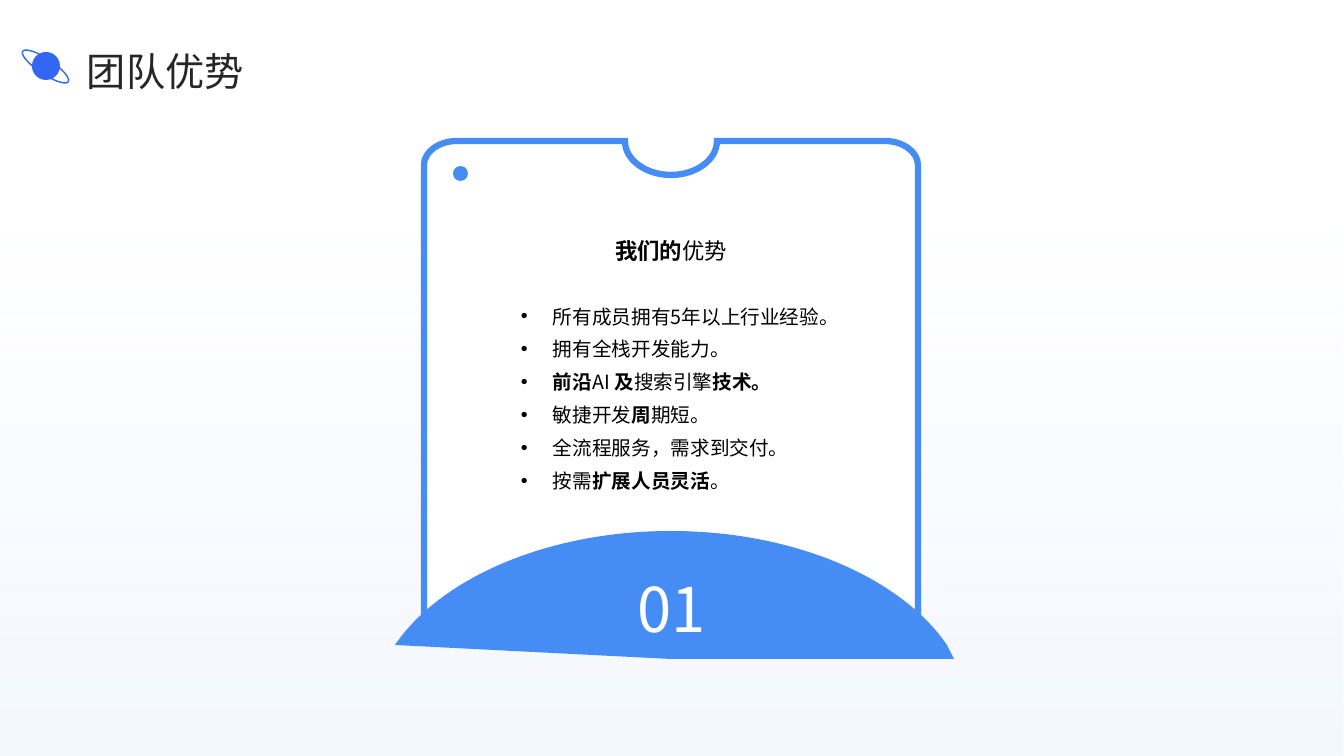
from lxml.etree import SubElement
from pptx import Presentation
from pptx.dml.color import RGBColor
from pptx.enum.shapes import MSO_SHAPE
from pptx.enum.text import MSO_ANCHOR, MSO_AUTO_SIZE, PP_ALIGN
from pptx.oxml.ns import qn
from pptx.util import Pt

# Content: paragraphs are lists of (text, bold) runs
TITLE = [[("团队优势", False)]]
HEADING = [[("我们的", True), ("优势", False)]]
NUMBER = [[("01", False)]]
ADVANTAGES = [
    [("所有成员拥有5年以上行业经验。", False)],
    [("拥有全栈开发能力。", False)],
    [("前沿", True), ("AI ", False), ("及", True), ("搜索引擎", False), ("技术。", True)],
    [("敏捷开发", False), ("周", True), ("期短。", False)],
    [("全流程服务，需求到交付。", False)],
    [("按需", False), ("扩展人员灵活", True), ("。", False)],
]

# Style
FONT = "Noto Sans CJK SC"
BLACK = RGBColor(0x00, 0x00, 0x00)
WHITE = RGBColor(0xFF, 0xFF, 0xFF)
DARK = RGBColor(0x26, 0x26, 0x26)
BLUE = RGBColor(0x45, 0x8C, 0xF5)
PLANET_BLUE = RGBColor(0x33, 0x66, 0xF3)
PALE_BLUE = RGBColor(0xDA, 0xE8, 0xFD)

# Geometry in px
PX = 914400 / 100.8
SLIDE_WIDTH, SLIDE_HEIGHT = 1344, 756
CENTER = 671

# Right halves of the outlines: a step is one line end or three curve points
CARD_HALF = [
    [(671, 175)],
    [(696, 175), (717, 160), (717, 141)],
    [(885, 141)],
    [(903, 141), (918, 152), (918, 165)],
    [(918, 616)],
    [(918, 629), (903, 640), (885, 640)],
    [(671, 640)],
]
DOME_HALF = [
    [(671, 531)],
    [(796, 531), (902, 579), (947, 645)],
    [(954, 659)],
    [(671, 659)],
]


def emu(*lengths):
    return [round(length * PX) for length in lengths]


def paint(shape, fill=None, line=None, line_width=1):
    shape.shadow.inherit = False
    if fill is None:
        shape.fill.background()
    else:
        shape.fill.solid()
        shape.fill.fore_color.rgb = fill
    if line is None:
        shape.line.fill.background()
    else:
        shape.line.color.rgb = line
        shape.line.width = Pt(line_width)


def mirror_steps(half):
    """Walk the half outline backwards on the left of the center."""
    steps = []
    for before, step in zip(half[-2::-1], half[:0:-1]):
        points = step[-2::-1] + before[-1:]
        steps.append([(2 * CENTER - x, y) for x, y in points])
    return steps


def add_symmetric(shapes, half, **style):
    start, *steps = half + mirror_steps(half)[1:]
    builder = shapes.build_freeform(*emu(*start[0]))
    builder.add_line_segments([emu(*step[-1]) for step in steps], close=True)
    shape = builder.convert_to_shape()
    # Turn the segments that have control points into curves
    segments = list(shape._element.iter(qn("a:lnTo")))
    for segment, step in zip(segments, steps):
        if len(step) == 3:
            segment.tag = qn("a:cubicBezTo")
            end = segment[0]
            for point in step[:2]:
                x, y = emu(*point)
                control = SubElement(segment, qn("a:pt"))
                control.set("x", str(x - shape.left))
                control.set("y", str(y - shape.top))
            segment.append(end)
    paint(shape, **style)
    return shape


def add_ellipse(shapes, box, rotation=0, **style):
    shape = shapes.add_shape(MSO_SHAPE.OVAL, *emu(*box))
    shape.rotation = rotation
    paint(shape, **style)


def write_text(shape, box, paragraphs, size, color, align=PP_ALIGN.LEFT,
               anchor=MSO_ANCHOR.MIDDLE, spacing=1.1, bullet_indent=0):
    shape.left, shape.top, shape.width, shape.height = emu(*box)
    frame = shape.text_frame
    frame.word_wrap = True
    frame.auto_size = MSO_AUTO_SIZE.NONE
    frame.vertical_anchor = anchor
    frame.margin_left = frame.margin_top = frame.margin_right = frame.margin_bottom = 0
    for index, runs in enumerate(paragraphs):
        paragraph = frame.add_paragraph() if index else frame.paragraphs[0]
        if bullet_indent:
            indent, = emu(bullet_indent)
            properties = paragraph._p.get_or_add_pPr()
            properties.set("marL", str(indent))
            properties.set("indent", str(-indent))
            SubElement(properties, qn("a:buFont")).set("typeface", "Arial")
            SubElement(properties, qn("a:buChar")).set("char", "•")
        paragraph.alignment = align
        paragraph.line_spacing = spacing
        paragraph.space_before = Pt(0)
        for text, bold in runs:
            run = paragraph.add_run()
            run.text = text
            run.font.size = Pt(size)
            run.font.bold = bold
            run.font.color.rgb = color
            run.font.name = FONT
            SubElement(run._r.get_or_add_rPr(), qn("a:ea")).set("typeface", FONT)


def add_background(shapes):
    shape = shapes.add_shape(MSO_SHAPE.RECTANGLE, *emu(0, 0, SLIDE_WIDTH, SLIDE_HEIGHT))
    paint(shape)
    shape.fill.gradient()
    shape.fill.gradient_angle = 270
    for stop, position, opacity in zip(shape.fill.gradient_stops, (0.3, 1), (0, 30)):
        stop.color.rgb = PALE_BLUE
        stop.position = position
        color = stop._gs.find(qn("a:srgbClr"))
        SubElement(color, qn("a:alpha")).set("val", str(opacity * 1000))


def main():
    presentation = Presentation()
    presentation.slide_width, presentation.slide_height = emu(SLIDE_WIDTH, SLIDE_HEIGHT)
    slide = presentation.slides.add_slide(presentation.slide_layouts[1])
    shapes = slide.shapes
    title, body = shapes.title, slide.placeholders[1]

    # Background and card, with sharp corners at the notch
    add_background(shapes)
    card = add_symmetric(shapes, CARD_HALF, fill=WHITE, line=BLUE, line_width=4.5)
    outline = card._element.spPr.find(qn("a:ln"))
    SubElement(outline, qn("a:miter")).set("lim", "800000")
    add_symmetric(shapes, DOME_HALF, fill=BLUE)

    # Card text, with the placeholders brought to the front
    shapes._spTree.append(body._element)
    write_text(body, (521, 295, 321, 225), ADVANTAGES, 14, BLACK,
               anchor=MSO_ANCHOR.TOP, spacing=1.4, bullet_indent=32)
    write_text(shapes.add_textbox(0, 0, 0, 0), (448, 195, 446, 69), HEADING, 16, BLACK,
               align=PP_ALIGN.CENTER, anchor=MSO_ANCHOR.BOTTOM)
    write_text(shapes.add_textbox(0, 0, 0, 0), (538, 570, 267, 69), NUMBER, 44, WHITE,
               align=PP_ALIGN.CENTER)
    add_ellipse(shapes, (453, 166, 15, 15), fill=BLUE)

    # Slide title and planet icon
    shapes._spTree.append(title._element)
    write_text(title, (87, 43, 1176, 51), TITLE, 28, DARK)
    planet = shapes.add_group_shape().shapes
    add_ellipse(planet, (32, 52, 28, 28), fill=PLANET_BLUE)
    add_ellipse(planet, (18, 59, 55, 15), rotation=33.8, line=PLANET_BLUE)

    presentation.save("out.pptx")


if __name__ == "__main__":
    main()
